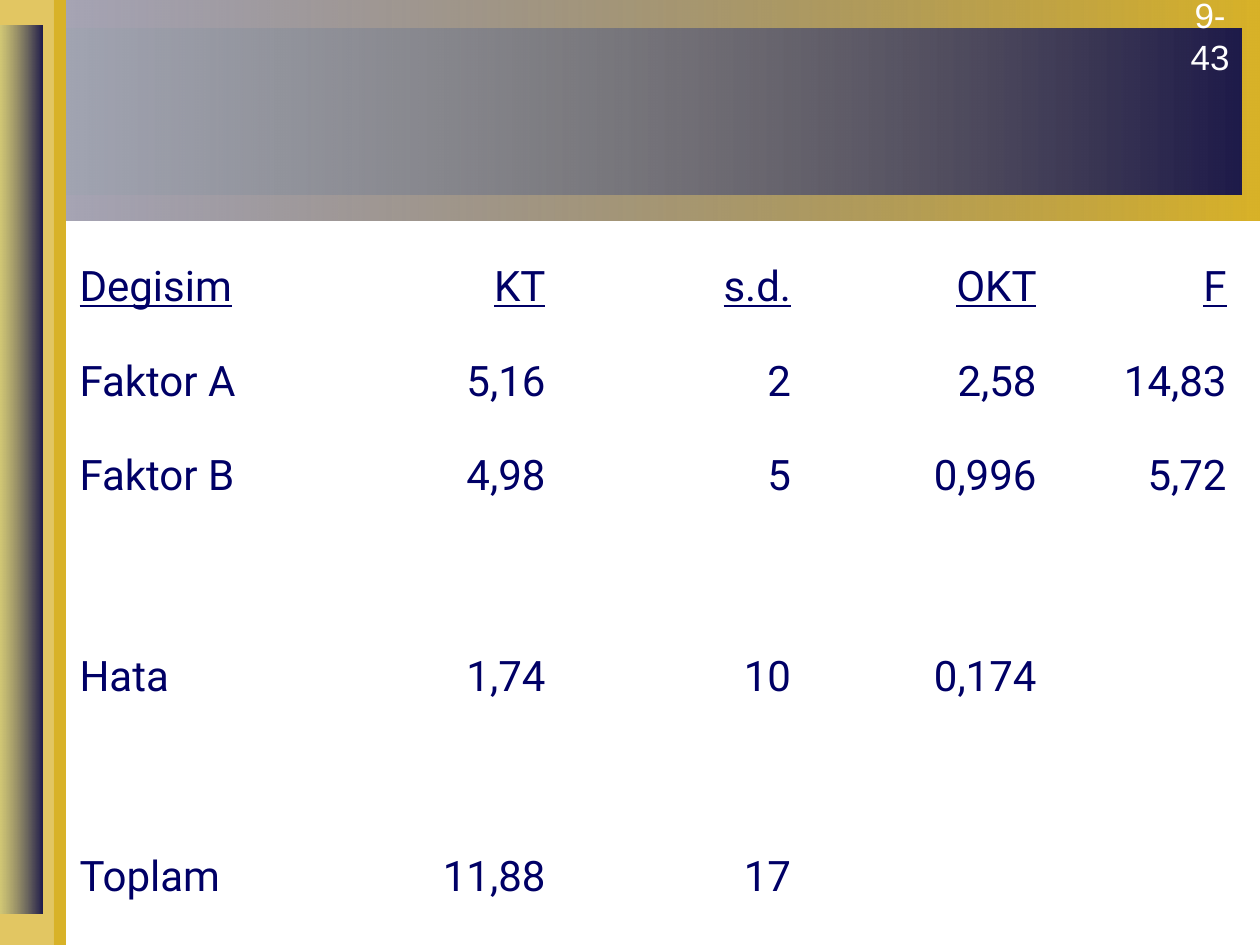
import pptx
import pptx.dml.color
import pptx.enum.shapes
import pptx.enum.text
import pptx.oxml
import pptx.oxml.ns
import pptx.util
from pptx.util import Cm

RGBColor = pptx.dml.color.RGBColor
NAVY = RGBColor(0x1E, 0x1B, 0x4B)
GOLD = RGBColor(0xD8, 0xB2, 0x28)
STEEL = RGBColor(0x98, 0xA6, 0xAE)
OLIVE = RGBColor(0xCD, 0xCB, 0x7F)
WHITE = RGBColor(0xFF, 0xFF, 0xFF)
INK = RGBColor(0x00, 0x00, 0x66)

ANOVA_ROWS = [
    ["Degisim", "KT", "s.d.", "OKT", "F"],
    ["Faktor A", "5,16", "2", "2,58", "14,83"],
    ["Faktor B", "4,98", "5", "0,996", "5,72"],
    ["Hata", "1,74", "10", "0,174", ""],
    ["Toplam", "11,88", "17", "", ""],
]
COLUMN_WIDTHS = [4.95] * 4 + [3.83]
ROW_HEIGHTS = [1.91] * 3 + [4.04] * 2


def set_opacity(color_parent, percent):
    """Give the RGB colour inside an element the stated opacity."""
    color = next(color_parent.iter(pptx.oxml.ns.qn("a:srgbClr")))
    alpha = pptx.oxml.parse_xml(f'<a:alpha {pptx.oxml.ns.nsdecls("a")} val="{percent * 1000}"/>')
    color.append(alpha)


def add_panel(slide, left, top, width, height, color, end_color=None, opacity=100):
    """Add a plain rectangle, solid or fading from left to right."""
    panel = slide.shapes.add_shape(
        pptx.enum.shapes.MSO_SHAPE.RECTANGLE, Cm(left), Cm(top), Cm(width), Cm(height))
    panel.shadow.inherit = False
    panel.line.fill.background()
    if end_color is None:
        panel.fill.solid()
        panel.fill.fore_color.rgb = color
    else:
        panel.fill.gradient()
        panel.fill.gradient_angle = 0
        for stop, stop_color in zip(panel.fill.gradient_stops, (color, end_color)):
            stop.color.rgb = stop_color
    if opacity < 100:
        set_opacity(panel.fill._xPr, opacity)


def add_header(slide, left, top, width, height):
    """Draw the gold band with the darker band inside it."""
    add_panel(slide, left, top, width, height, NAVY, GOLD, 38)
    add_panel(slide, left + 1.07, top + 0.58, width - 1.45, height - 1.1, STEEL, NAVY, 29)


def add_sidebar(slide, left, top, width, height):
    """Draw the gold strip with its paler layer and dark fading bar."""
    add_panel(slide, left, top, width, height, GOLD)
    add_panel(slide, left, top, width - 0.25, height, WHITE)
    add_panel(slide, left, top, width - 0.25, height, GOLD, opacity=73)
    add_panel(slide, left, top + 0.51, width - 0.48, height - 1.14, OLIVE, NAVY, 68)


def add_text(paragraph, text, font, size, color):
    """Add one formatted run and return it."""
    run = paragraph.add_run()
    run.text = text
    run.font.name = font
    run.font.size = pptx.util.Pt(size)
    run.font.color.rgb = color
    return run


def add_page_number(slide, left, top, width, height):
    """Place the page number in the header corner."""
    page_frame = slide.shapes.add_textbox(Cm(left), Cm(top), Cm(width), Cm(height)).text_frame
    page_frame.word_wrap = True
    page_line = page_frame.paragraphs[0]
    page_line.alignment = pptx.enum.text.PP_ALIGN.CENTER
    add_text(page_line, "9-43", "Arial", 20, WHITE)


def add_anova_table(slide, left, top, width, height):
    """Place the analysis of variance table."""
    anova = slide.shapes.add_table(
        len(ANOVA_ROWS), len(COLUMN_WIDTHS), Cm(left), Cm(top), Cm(width), Cm(height)).table
    anova.first_row = False
    anova.horz_banding = False
    for column, column_width in zip(anova.columns, COLUMN_WIDTHS):
        column.width = Cm(column_width)
    for row, row_height in zip(anova.rows, ROW_HEIGHTS):
        row.height = Cm(row_height)
    for row_index, values in enumerate(ANOVA_ROWS):
        for column_index, value in enumerate(values):
            cell = anova.cell(row_index, column_index)
            cell.fill.background()
            cell.vertical_anchor = pptx.enum.text.MSO_ANCHOR.BOTTOM
            if not value:
                continue
            entry = cell.text_frame.paragraphs[0]
            if column_index:
                entry.alignment = pptx.enum.text.PP_ALIGN.RIGHT
            indents = entry._p.get_or_add_pPr()
            indents.set("marL", str(Cm(0.64)))
            indents.set("indent", str(-Cm(0.64)))
            run = add_text(entry, value, "Roboto", 24, INK)
            run.font.underline = row_index == 0


def main():
    """Build and save the slide."""
    deck = pptx.Presentation()
    deck.slide_width, deck.slide_height = Cm(25.4), Cm(19.05)
    slide = deck.slides.add_slide(deck.slide_layouts[6])
    add_header(slide, 0, 0, 25.4, 4.45)
    add_sidebar(slide, 0, 0, 1.33, 19.05)
    add_panel(slide, 1.35, 4.5, 23.67, 13.94, WHITE)
    add_page_number(slide, 23.44, -0.25, 1.91, 1.22)
    add_anova_table(slide, 1.35, 4.5, sum(COLUMN_WIDTHS), sum(ROW_HEIGHTS))
    deck.save("out.pptx")


if __name__ == "__main__":
    main()
